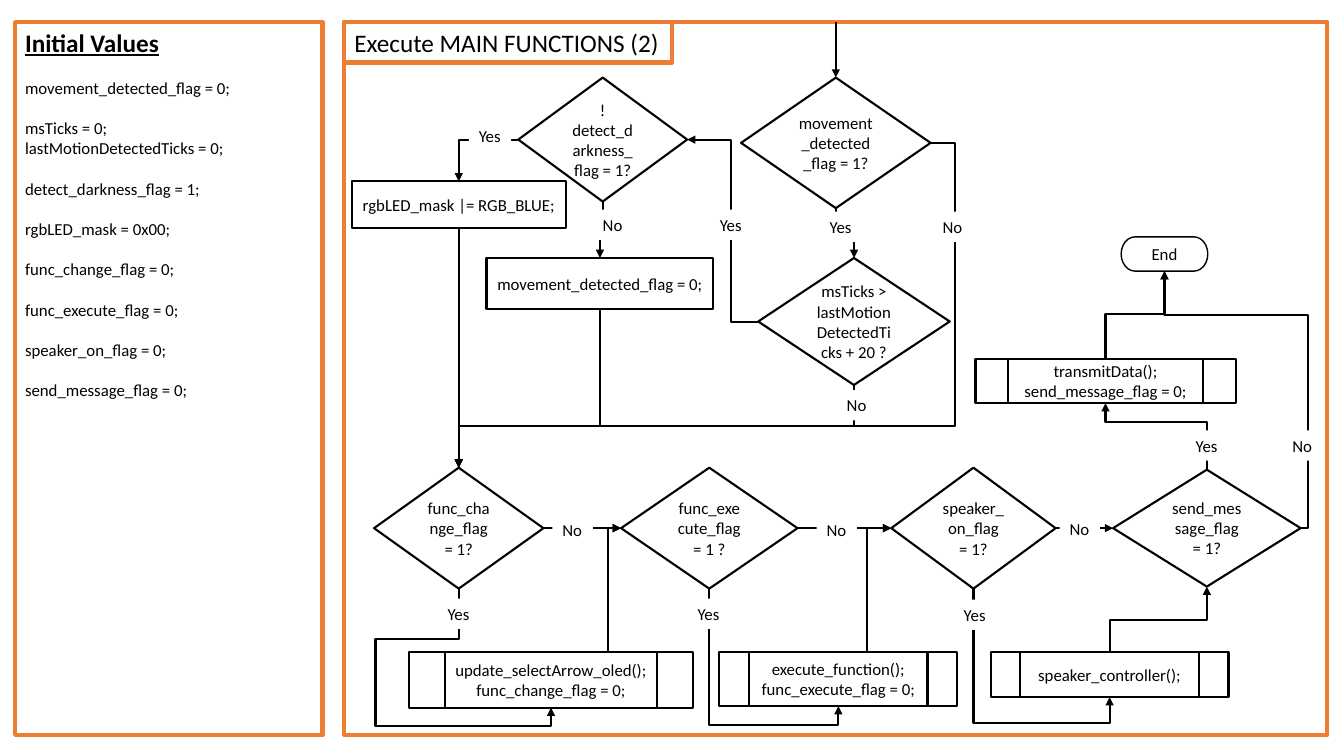
from dataclasses import dataclass
from typing import Optional

from lxml.etree import SubElement
from pptx import Presentation
from pptx.dml.color import RGBColor
from pptx.enum.shapes import MSO_CONNECTOR as Cxn, MSO_SHAPE as Geom
from pptx.enum.text import MSO_ANCHOR as Anchor, MSO_AUTO_SIZE as Fit, PP_ALIGN as Align
from pptx.oxml.ns import qn
from pptx.util import Inches, Pt

BLACK = RGBColor(0x00, 0x00, 0x00)
WHITE = RGBColor(0xFF, 0xFF, 0xFF)
ORANGE = RGBColor(0xED, 0x7D, 0x31)
CELL = Inches(0.1)  # side of one square of the layout grid
TOP, LEFT, BOTTOM, RIGHT = range(4)
BODY = {"name": "Calibri", "size": Pt(12), "bold": False, "underline": False}
TITLE = BODY | {"size": Pt(18)}
HEADING = TITLE | {"bold": True, "underline": True}
CENTRED = {"alignment": Align.CENTER}
PLAIN = {"alignment": Align.LEFT, "line_spacing": 1.0, "space_before": Pt(0)}
MIDDLE = {"vertical_anchor": Anchor.MIDDLE, "word_wrap": True}
FIXED = {"vertical_anchor": Anchor.TOP, "word_wrap": False, "auto_size": Fit.NONE}
SNUG = FIXED | {"auto_size": Fit.SHAPE_TO_FIT_TEXT}
DECISION, PROCESS = Geom.FLOWCHART_DECISION, Geom.RECTANGLE
CALL, END = Geom.FLOWCHART_PREDEFINED_PROCESS, Geom.FLOWCHART_TERMINATOR


@dataclass(frozen=True)
class Box:
    col: float
    row: float
    cols: float
    rows: float

    def side(self, idx: int) -> tuple[float, float]:
        """Middle of one side, as column and row."""
        dx, dy = ((0.5, 0), (0, 0.5), (0.5, 1), (1, 0.5))[idx]
        return self.col + dx * self.cols, self.row + dy * self.rows

    def emu(self) -> list[int]:
        return [round(v * CELL) for v in (self.col, self.row, self.cols, self.rows)]


@dataclass(frozen=True)
class Node:
    key: str
    geom: Geom
    box: Box
    lines: tuple[str, ...]
    weight: float = 1.5


@dataclass(frozen=True)
class Flow:
    """Arrow; bends are the rows and columns where it turns, None if straight."""
    begin: Optional[str]
    begin_side: int
    end: str
    end_side: int
    bends: Optional[tuple[float, ...]] = ()
    start: Optional[tuple[float, float]] = None


FRAME = Box(34.15, 2.2, 97.5, 70.7)
TITLE_BOX = Box(34.15, 2.2, 32.5, 4)
VALUES_BOX = Box(1.5, 2.2, 30.5, 70.7)
VALUE_GROUPS = (
    ("movement_detected_flag = 0;",), ("msTicks = 0;", "lastMotionDetectedTicks = 0;"),
    ("detect_darkness_flag = 1;",), ("rgbLED_mask = 0x00;",),
    ("func_change_flag = 0;",), ("func_execute_flag = 0;",),
    ("speaker_on_flag = 0;",), ("send_message_flag = 0;",),
)
NODES = (
    Node("moved", DECISION, Box(73.5, 7.7, 18.8, 12.95), ("movement_detected_flag = 1?",)),
    Node("ticks", DECISION, Box(75.2, 25.6, 19, 12.6), ("msTicks > lastMotionDetectedTicks + 20 ?",)),
    Node("dark", DECISION, Box(51.4, 7.7, 16.75, 12.3), ("!detect_darkness_flag = 1?",)),
    Node("blue", PROCESS, Box(34.9, 18, 21.2, 4.6), ("rgbLED_mask |= RGB_BLUE;",)),
    Node("reset", PROCESS, Box(48.25, 25.6, 22.5, 5.05), ("movement_detected_flag = 0;",)),
    Node("change", DECISION, Box(37.1, 46.4, 16.8, 12), ("func_change_flag = 1?",)),
    Node("update", CALL, Box(40.6, 64.7, 28.1, 5.5), ("update_selectArrow_oled();", "func_change_flag = 0;")),
    Node("execute", DECISION, Box(61.6, 46.4, 17.5, 12), ("func_execute_flag = 1 ?",)),
    Node("run", CALL, Box(71.35, 64.7, 23.6, 5.35), ("execute_function();", "func_execute_flag = 0;")),
    Node("speaker", DECISION, Box(88.4, 46.4, 16.3, 12), ("speaker_on_flag = 1?",)),
    Node("control", CALL, Box(98.25, 64.7, 23.6, 4.45), ("speaker_controller();",)),
    Node("send", DECISION, Box(110.4, 46.6, 18.6, 11.6), ("send_message_flag = 1?",)),
    Node("transmit", CALL, Box(96.75, 35.6, 25.8, 4.4), ("transmitData();", "send_message_flag = 0;")),
    Node("end", END, Box(111.2, 23.5, 8.6, 3.4), ("End",), 1),
)
BOXES = {n.key: n.box for n in NODES}
FLOWS = (
    Flow("blue", BOTTOM, "change", TOP, None),
    Flow(None, BOTTOM, "moved", TOP, None, (82.9, 2.2)),
    Flow("moved", RIGHT, "change", TOP, (94.75, 42.3)),
    Flow("moved", BOTTOM, "ticks", TOP, (23.1,)),
    Flow("ticks", BOTTOM, "change", TOP, (42.3,)),
    Flow("ticks", LEFT, "dark", RIGHT, (72.5,)),
    Flow("dark", LEFT, "blue", TOP),
    Flow("reset", BOTTOM, "change", TOP, (42.3,)),
    Flow("dark", BOTTOM, "reset", TOP, (22.8,)),
    Flow("change", BOTTOM, "update", BOTTOM, (63.4, 37.25, 72)),
    Flow("change", RIGHT, "execute", LEFT, None),
    Flow(None, TOP, "execute", LEFT, start=(60.3, 64.7)),
    Flow("execute", BOTTOM, "run", BOTTOM, (71.9,)),
    Flow(None, TOP, "speaker", LEFT, start=(86, 64.7)),
    Flow("execute", RIGHT, "speaker", LEFT, None),
    Flow("speaker", BOTTOM, "control", BOTTOM, (71.7,)),
    Flow("send", TOP, "transmit", BOTTOM, (41.9,)),
    Flow("send", RIGHT, "end", BOTTOM, (129.7, 31.2)),
    Flow("transmit", TOP, "end", BOTTOM, (31.2,)),
    Flow("control", TOP, "send", BOTTOM, (61.5,)),
    Flow("speaker", RIGHT, "send", LEFT, None),
)
ANSWERS = {
    "Yes": (4.2, ((81.3, 21), (46.5, 12), (70.4, 20.8), (43.4, 59.4), (68.2, 59.4),
                  (94.6, 59.5), (117.6, 42.7))),
    "No": (4, ((92.5, 21), (83, 38.7), (58.8, 20.8), (54.8, 51.1), (81, 51.1),
               (127.2, 42.7), (105.1, 51))),
}


def apply(obj, values: dict) -> None:
    for name, value in values.items():
        setattr(obj, name, value)


def write(p, text: str, font: dict, para: dict) -> None:
    r = p.add_run()
    r.text = text
    apply(p, para)
    apply(r.font, font)
    r.font.color.rgb = BLACK


def paint(sp, line: Optional[RGBColor] = None, weight: float = 1.5) -> None:
    sp.fill.solid()
    sp.fill.fore_color.rgb = WHITE
    if line is not None:
        sp.line.color.rgb = line
        sp.line.width = Pt(weight)


def add_box(shapes, geom: Geom, box: Box, line: RGBColor, weight: float):
    sp = shapes.add_shape(geom, *box.emu())
    sp.shadow.inherit = False
    paint(sp, line, weight)
    return sp


def add_node(shapes, node: Node):
    sp = add_box(shapes, node.geom, node.box, BLACK, node.weight)
    tf = sp.text_frame
    apply(tf, MIDDLE)
    for i, text in enumerate(node.lines):
        write(tf.add_paragraph() if i else tf.paragraphs[0], text, BODY, CENTRED)
    return sp


def bend(c, start: tuple, end: tuple, bends: tuple, upright: bool) -> None:
    """Turn, flip and adjust an elbow connector so that it runs through its bends."""
    dx, dy = end[0] - start[0], end[1] - start[1]
    if upright:
        turn = 90 if dx * dy < 0 else 270
        along, across = (dy, -dx) if turn == 90 else (-dy, dx)
    else:
        turn = 180 if dx < 0 and len(bends) < 2 else 0
        along, across = (-dx, -dy) if turn else (dx, dy)
    w, h = abs(along), abs(across)
    box = Box(start[0] + (dx - w) / 2, start[1] + (dy - h) / 2, w, h)
    c.left, c.top, c.width, c.height = box.emu()
    xfrm, geom = (c._element.spPr.find(qn(tag)) for tag in ("a:xfrm", "a:prstGeom"))
    for name, value in (("rot", turn * 60000), ("flipH", along < 0), ("flipV", across < 0)):
        xfrm.set(name, str(int(value)))
    geom.set("prst", f"bentConnector{len(bends) + 2}")
    for i, at in enumerate(bends):
        axis = (i + upright) % 2
        share = (at - start[axis]) / (end[axis] - start[axis])
        SubElement(geom.find(qn("a:avLst")), qn("a:gd"), name=f"adj{i + 1}",
                   fmla=f"val {round(share * 100000)}")


def add_flow(shapes, flow: Flow, drawn: dict) -> None:
    start = flow.start or BOXES[flow.begin].side(flow.begin_side)
    end = BOXES[flow.end].side(flow.end_side)
    c = shapes.add_connector(Cxn.STRAIGHT if flow.bends is None else Cxn.ELBOW,
                             *(round(v * CELL) for v in start + end))
    if flow.begin:
        c.begin_connect(drawn[flow.begin], flow.begin_side)
    c.end_connect(drawn[flow.end], flow.end_side)
    if flow.bends is not None:
        bend(c, start, end, flow.bends, flow.begin_side in (TOP, BOTTOM))
    c.line.color.rgb = BLACK
    c.line.width = Pt(1.5)
    SubElement(c._element.spPr.find(qn("a:ln")), qn("a:tailEnd"), type="triangle")
    SubElement(c._element.spPr, qn("a:effectLst"))


def add_values(shapes) -> None:
    tf = add_box(shapes, Geom.RECTANGLE, VALUES_BOX, ORANGE, 3).text_frame
    apply(tf, {"vertical_anchor": Anchor.TOP, "word_wrap": True})
    write(tf.paragraphs[0], "Initial Values", HEADING, PLAIN)
    for group in VALUE_GROUPS:
        for i, text in enumerate(group):
            gap = {"space_before": Pt(0 if i else 14.4)}
            write(tf.add_paragraph(), text, BODY, PLAIN | gap)


def add_answers(shapes) -> None:
    for text, (cols, places) in ANSWERS.items():
        for col, row in places:
            sp = shapes.add_textbox(*Box(col, row, cols, 3).emu())
            paint(sp)
            apply(sp.text_frame, SNUG)
            write(sp.text_frame.paragraphs[0], text, BODY, PLAIN)


prs = Presentation()
prs.slide_width, prs.slide_height = Inches(13.33), Inches(7.5)
shapes = prs.slides.add_slide(prs.slide_layouts[5]).shapes
title = shapes.title
frame = add_box(shapes, Geom.RECTANGLE, FRAME, ORANGE, 3)
frame._element.addnext(title._element)
title.left, title.top, title.width, title.height = TITLE_BOX.emu()
paint(title, ORANGE, 3)
apply(title.text_frame, FIXED)
write(title.text_frame.paragraphs[0], "Execute MAIN FUNCTIONS (2)", TITLE, PLAIN)
add_values(shapes)
drawn = {n.key: add_node(shapes, n) for n in NODES}
for flow in FLOWS:
    add_flow(shapes, flow, drawn)
add_answers(shapes)
prs.save("out.pptx")
